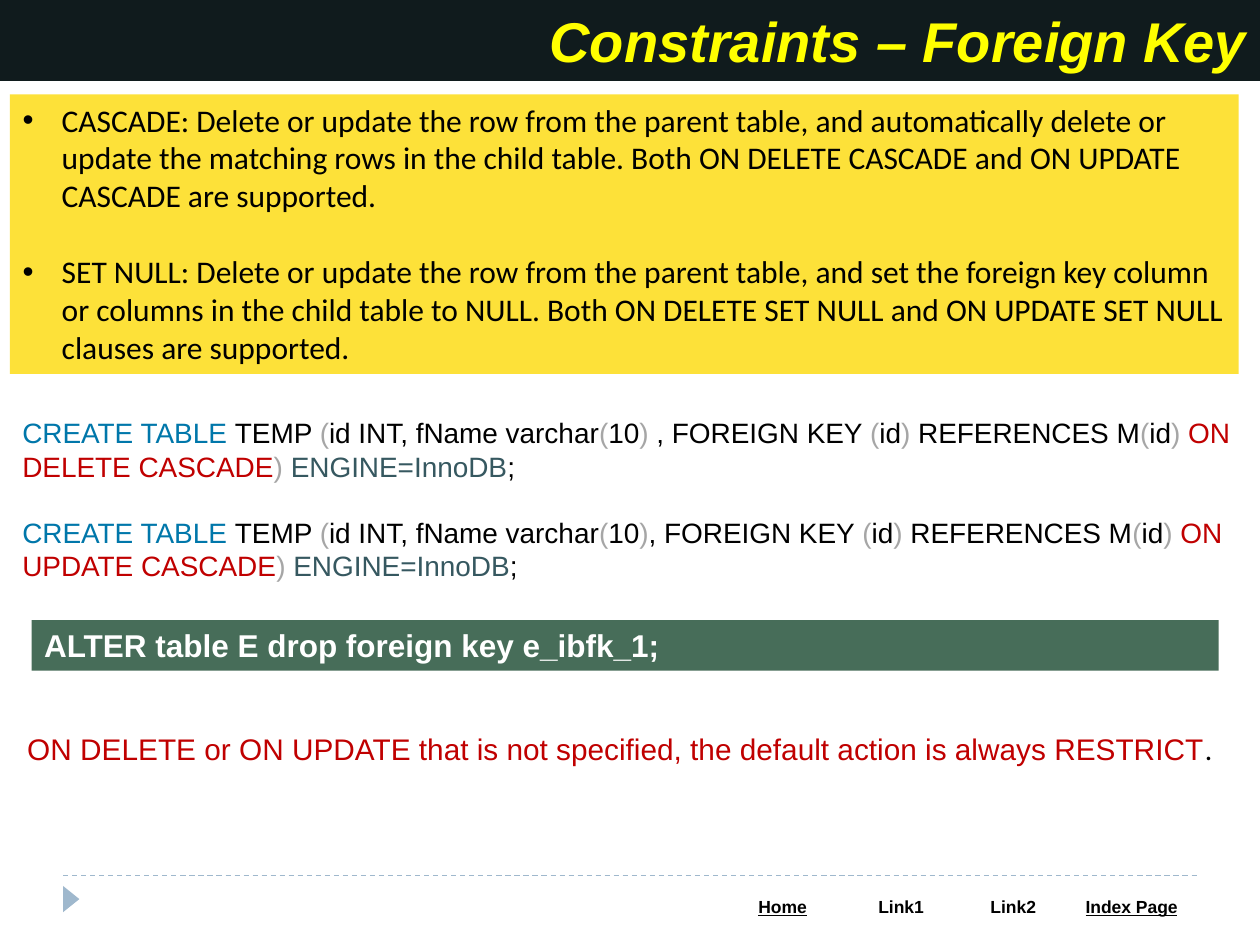
from lxml import etree
from pptx import Presentation
from pptx.dml.color import RGBColor
from pptx.enum.dml import MSO_LINE
from pptx.enum.shapes import MSO_CONNECTOR, MSO_SHAPE
from pptx.enum.text import MSO_ANCHOR, MSO_AUTO_SIZE, PP_ALIGN
from pptx.oxml.ns import qn
from pptx.util import Cm, Pt

TRIANGLE = MSO_SHAPE.ISOSCELES_TRIANGLE
RECTANGLE = MSO_SHAPE.RECTANGLE
STRAIGHT = MSO_CONNECTOR.STRAIGHT
DASH = MSO_LINE.DASH
TOP, MIDDLE = MSO_ANCHOR.TOP, MSO_ANCHOR.MIDDLE
LEFT, CENTER, RIGHT = PP_ALIGN.LEFT, PP_ALIGN.CENTER, PP_ALIGN.RIGHT
NO_AUTOFIT = MSO_AUTO_SIZE.NONE

COLORS = {
    "banner": "101B1D",
    "title": "FFFF00",
    "panel": "FDE139",
    "command": "476D59",
    "accent": "9FB8CD",
    "white": "FFFFFF",
    "text": "000000",
    "keyword": "0077AA",
    "bracket": "A6A6A6",
    "action": "C00000",
    "engine": "365860",
}

RULES = [
    "CASCADE: Delete or update the row from the parent table, and automatically "
    "delete or update the matching rows in the child table. Both ON DELETE CASCADE "
    "and ON UPDATE CASCADE are supported.",
    "SET NULL: Delete or update the row from the parent table, and set the foreign "
    "key column or columns in the child table to NULL. Both ON DELETE SET NULL and "
    "ON UPDATE SET NULL clauses are supported.",
]
# Text after the varchar size, and the referential action
STATEMENTS = [(") ", "ON DELETE CASCADE"), (")", "ON UPDATE CASCADE")]
# Label, column width in cm, underlined
LINKS = [("Home", 2.39, True), ("Link1", 2.39, False),
         ("Link2", 2.13, False), ("Index Page", 2.64, True)]


def rgb(name):
    return RGBColor.from_string(COLORS[name])


def fill_shape(shape, color):
    shape.fill.solid()
    shape.fill.fore_color.rgb = rgb(color)
    shape.line.fill.background()


def place(shape, box):
    shape.left, shape.top, shape.width, shape.height = (Cm(value) for value in box)


def style(font, size, color, name="Arial", bold=False):
    font.size, font.name, font.bold = Pt(size), name, bold
    font.color.rgb = rgb(color)


def prepare_frame(text_frame, anchor=TOP):
    text_frame.word_wrap = True
    text_frame.auto_size = NO_AUTOFIT
    text_frame.vertical_anchor = anchor


def add_text_box(slide, box):
    text_frame = slide.shapes.add_textbox(*(Cm(value) for value in box)).text_frame
    prepare_frame(text_frame)
    return text_frame


def add_runs(paragraph, pieces, size):
    for text, color in pieces:
        run = paragraph.add_run()
        run.text = text
        style(run.font, size, color)


def set_bullet(paragraph, indent):
    properties = paragraph._p.get_or_add_pPr()
    properties.set("marL", str(indent))
    properties.set("indent", str(-indent))
    etree.SubElement(properties, qn("a:buFont"), typeface="Arial")
    etree.SubElement(properties, qn("a:buChar"), char="•")


def add_title(slide, box):
    title = slide.shapes.title
    place(title, box)
    fill_shape(title, "banner")
    prepare_frame(title.text_frame, MIDDLE)
    title.text_frame.text = "Constraints – Foreign Key"
    paragraph = title.text_frame.paragraphs[0]
    paragraph.alignment = RIGHT
    font = paragraph.runs[0].font
    style(font, 32, "title", bold=True)
    font.italic = True


def add_rules(slide, box):
    body = slide.placeholders[1]
    place(body, box)
    fill_shape(body, "panel")
    prepare_frame(body.text_frame)
    body.text_frame.text = "\n".join(RULES)
    for index, paragraph in enumerate(body.text_frame.paragraphs):
        paragraph.space_before = Pt(22 * index)
        set_bullet(paragraph, Cm(0.79))
        style(paragraph.runs[0].font, 18, "text", "Calibri")


def statement_pieces(size_end, action):
    """Split one CREATE TABLE statement into coloured pieces."""
    return [
        ("CREATE TABLE ", "keyword"), ("TEMP ", "text"),
        ("(", "bracket"), ("id INT, fName varchar", "text"),
        ("(", "bracket"), ("10", "text"), (size_end, "bracket"),
        (", FOREIGN KEY ", "text"),
        ("(", "bracket"), ("id", "text"), (")", "bracket"),
        (" REFERENCES M", "text"),
        ("(", "bracket"), ("id", "text"), (") ", "bracket"),
        (action, "action"), (") ", "bracket"),
        ("ENGINE=InnoDB", "engine"), (";", "text"),
    ]


def add_statements(slide, box):
    text_frame = add_text_box(slide, box)
    for index, statement in enumerate(STATEMENTS):
        paragraph = text_frame.add_paragraph() if index else text_frame.paragraphs[0]
        paragraph.space_before = Pt(18.4 * index)
        add_runs(paragraph, statement_pieces(*statement), 16)


def add_command(slide, box):
    bar = slide.shapes.add_shape(RECTANGLE, *(Cm(value) for value in box))
    bar.shadow.inherit = False
    fill_shape(bar, "command")
    prepare_frame(bar.text_frame, TOP)
    bar.text_frame.text = "ALTER table E drop foreign key e_ibfk_1;"
    paragraph = bar.text_frame.paragraphs[0]
    paragraph.alignment = LEFT
    style(paragraph.runs[0].font, 18, "white", bold=True)


def add_note(slide, box):
    paragraph = add_text_box(slide, box).paragraphs[0]
    add_runs(paragraph, [
        ("ON DELETE or ON UPDATE that is not specified, "
         "the default action is always RESTRICT", "action"),
        (".", "text"),
    ], 17)
    paragraph.runs[-1].font.name = "Calibri"


def add_links(slide, left, top):
    width = sum(link[1] for link in LINKS)
    frame = slide.shapes.add_table(1, len(LINKS), Cm(left), Cm(top), Cm(width), Cm(0.69))
    table = frame.table
    for column, (label, column_width, underlined) in enumerate(LINKS):
        table.columns[column].width = Cm(column_width)
        cell = table.cell(0, column)
        cell.fill.solid()
        cell.fill.fore_color.rgb = rgb("white")
        cell.text = label
        paragraph = cell.text_frame.paragraphs[0]
        paragraph.alignment = CENTER
        font = paragraph.runs[0].font
        style(font, 10, "text", bold=True)
        font.underline = underlined


def add_footer(slide, box):
    left, top, width, _ = box
    line = slide.shapes.add_connector(STRAIGHT, Cm(left), Cm(top), Cm(left + width), Cm(top))
    line.line.color.rgb = rgb("accent")
    line.line.width = Pt(0.75)
    line.line.dash_style = DASH
    etree.SubElement(line._element.spPr, qn("a:effectLst"))

    marker = slide.shapes.add_shape(
        TRIANGLE, Cm(left - 0.1), Cm(top + 0.31), Cm(0.53), Cm(0.33))
    marker.rotation = 90
    marker.shadow.inherit = False
    fill_shape(marker, "accent")
    add_links(slide, left + width - sum(link[1] for link in LINKS), top + 0.33)


def main():
    presentation = Presentation()
    presentation.slide_width, presentation.slide_height = Cm(25.4), Cm(19.05)
    slide = presentation.slides.add_slide(presentation.slide_layouts[1])
    add_footer(slide, (1.27, 17.65, 22.86, 1.4))
    add_title(slide, (0, 0, 25.4, 1.63))
    add_command(slide, (0.64, 12.5, 23.93, 1.02))
    add_statements(slide, (0.2, 8.26, 24.97, 3.68))
    add_rules(slide, (0.2, 1.9, 24.77, 5.64))
    add_note(slide, (0.3, 14.6, 24.77, 0.99))
    presentation.save("out.pptx")


if __name__ == "__main__":
    main()
